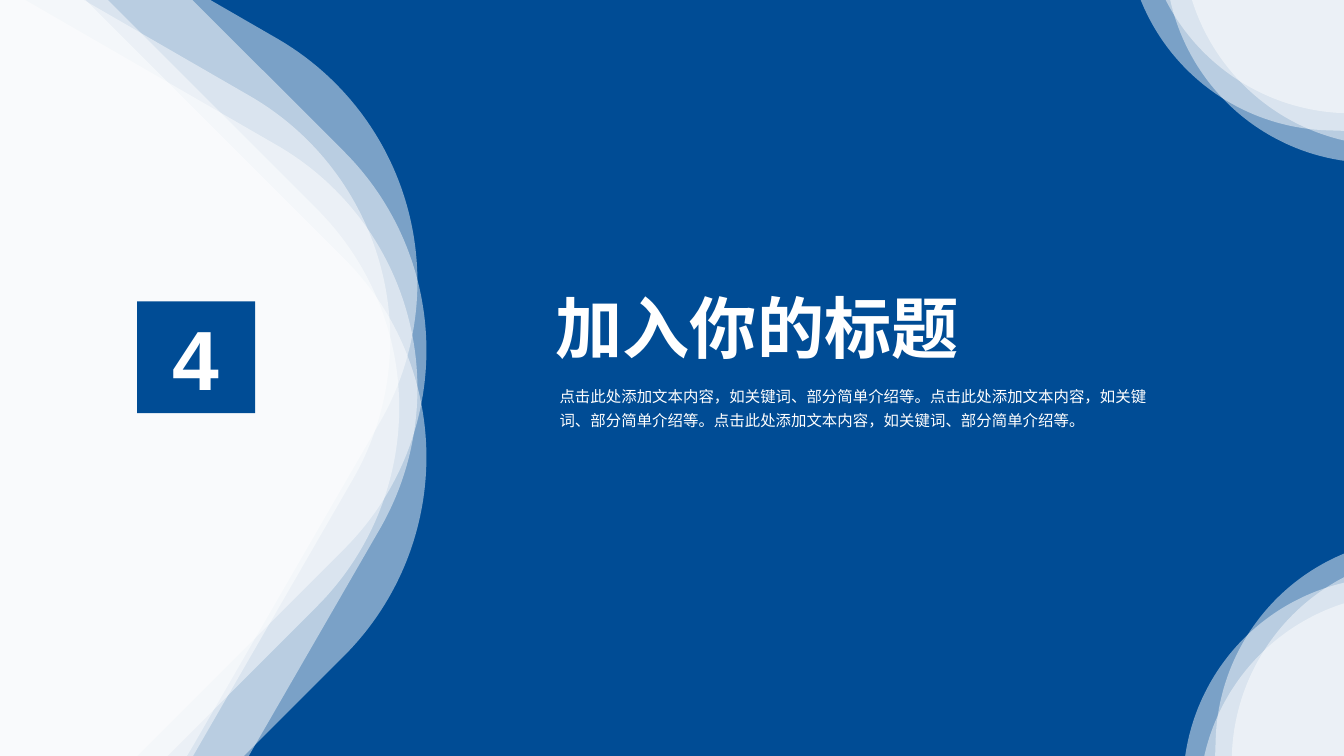
from dataclasses import dataclass
from itertools import product

from lxml import etree
from pptx import Presentation
from pptx.dml.color import RGBColor
from pptx.enum import shapes, text
from pptx.oxml import ns
from pptx.util import Inches, Pt


@dataclass(frozen=True)
class Theme:
    blue: RGBColor = RGBColor(0x00, 0x4C, 0x95)
    white: RGBColor = RGBColor(0xFF, 0xFF, 0xFF)
    font: str = "Arial"
    number_size: int = 60
    title_size: int = 48
    body_size: int = 11
    wave_opacity: int = 48  # percent


@dataclass(frozen=True)
class Box:
    left: float
    top: float
    width: float
    height: float

    def lengths(self) -> tuple:
        return tuple(map(Inches, (self.left, self.top, self.width, self.height)))


@dataclass(frozen=True)
class Wave:
    """Rounded squares: each corner is drawn once at every angle."""
    size: float
    corners: tuple
    angles: tuple


THEME = Theme()
SLIDE = Box(0, 0, 13.33, 7.5)
WAVES = (
    Wave(9.29, ((-5.83, -1.17), (-6.1, -0.6), (-5.83, -0.11)), (30, 45)),
    Wave(6.88, ((12.01, 5.38), (12.17, 5.54)), (76.9, 91.9)),
    Wave(6.88, ((11.21, -5.54), (11.38, -5.71)), (346.9, 1.9)),
)
TITLE = "加入你的标题"
BODY = "点击此处添加文本内容，如关键词、部分简单介绍等。" * 3


def add_panel(parent, kind, box: Box, color: RGBColor):
    shape = parent.shapes.add_shape(kind, *box.lengths())
    shape.shadow.inherit = False
    shape.fill.solid()
    shape.fill.fore_color.rgb = color
    shape.line.fill.background()
    return shape


def add_wave(slide, wave: Wave) -> None:
    group = slide.shapes.add_group_shape()
    for (left, top), angle in product(wave.corners, wave.angles):
        box = Box(left, top, wave.size, wave.size)
        shape = add_panel(group, shapes.MSO_SHAPE.ROUNDED_RECTANGLE, box, THEME.white)
        shape.adjustments[0] = 0.3
        shape.rotation = angle
        color = shape.fill._xPr.find(".//" + ns.qn("a:srgbClr"))
        alpha = etree.SubElement(color, ns.qn("a:alpha"))
        alpha.set("val", str(THEME.wave_opacity * 1000))


def write_text(shape, words: str, size: int, bold: bool, alignment, anchor,
               wrap: bool = True, line_spacing: float = 1.0) -> None:
    frame = shape.text_frame
    frame.text = words
    frame.word_wrap = wrap
    frame.auto_size = text.MSO_AUTO_SIZE.SHAPE_TO_FIT_TEXT
    frame.vertical_anchor = anchor
    paragraph = frame.paragraphs[0]
    paragraph.alignment = alignment
    paragraph.space_before = Pt(0)
    paragraph.line_spacing = line_spacing
    paragraph.font.name = THEME.font
    paragraph.font.size = Pt(size)
    paragraph.font.bold = bold
    paragraph.font.color.rgb = THEME.white


def place_placeholder(slide, placeholder, box: Box) -> None:
    placeholder.left, placeholder.top, placeholder.width, placeholder.height = box.lengths()
    slide.shapes._spTree.append(placeholder._element)  # bring to front


def main() -> None:
    presentation = Presentation()
    presentation.slide_width = Inches(SLIDE.width)
    presentation.slide_height = Inches(SLIDE.height)
    slide = presentation.slides.add_slide(presentation.slide_layouts[2])
    left, center = text.PP_ALIGN.LEFT, text.PP_ALIGN.CENTER
    top, middle = text.MSO_ANCHOR.TOP, text.MSO_ANCHOR.MIDDLE

    # Background and translucent waves
    add_panel(slide, shapes.MSO_SHAPE.RECTANGLE, SLIDE, THEME.blue)
    for wave in WAVES:
        add_wave(slide, wave)

    # Section number
    number = add_panel(slide, shapes.MSO_SHAPE.RECTANGLE,
                       Box(1.36, 2.99, 1.17, 1.11), THEME.blue)
    write_text(number, "4", THEME.number_size, True, center, middle)

    # Title and description
    title, body = slide.shapes.title, slide.placeholders[1]
    place_placeholder(slide, title, Box(5.41, 2.79, 4.24, 0.91))
    write_text(title, TITLE, THEME.title_size, True, left, top, wrap=False)
    place_placeholder(slide, body, Box(5.45, 3.74, 6.1, 0.56))
    write_text(body, BODY, THEME.body_size, False, left, top, line_spacing=1.3)

    presentation.save("out.pptx")


if __name__ == "__main__":
    main()
